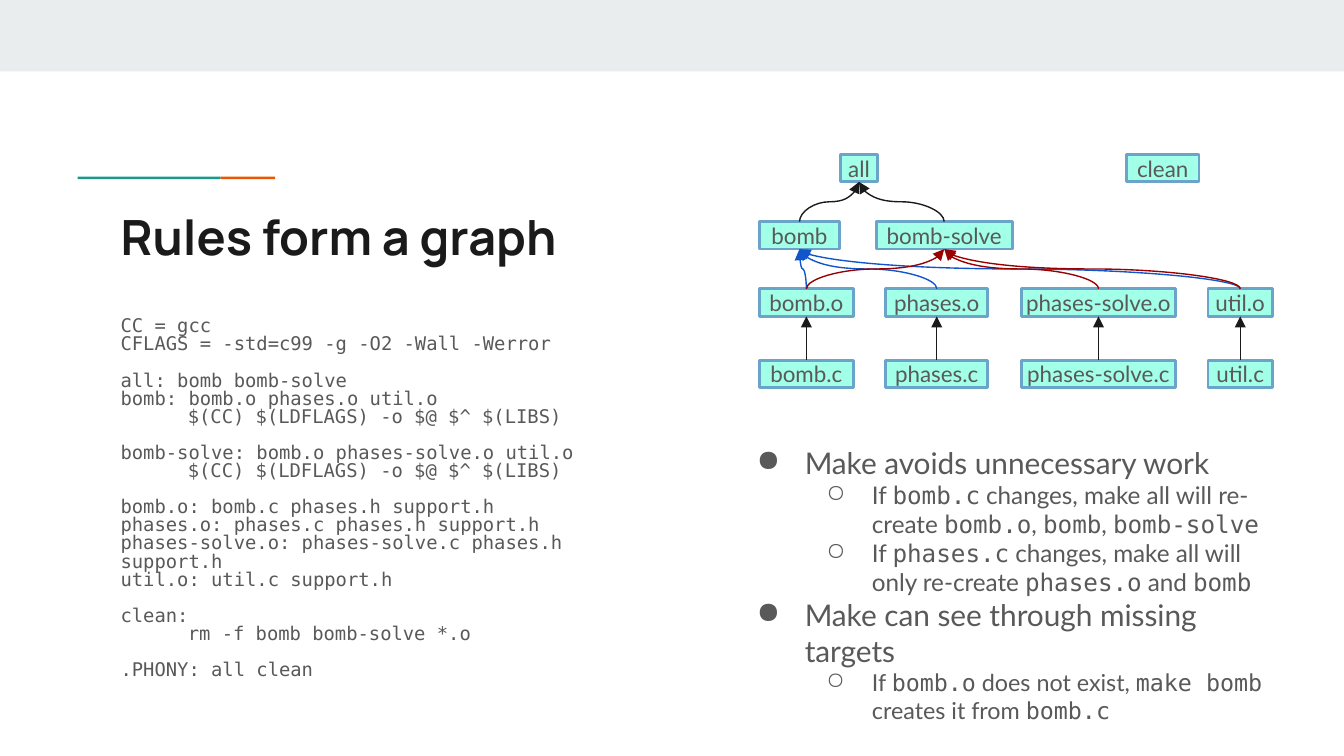
"""Build the slide that shows makefile rules as a dependency graph."""
from dataclasses import dataclass

from pptx import Presentation
from pptx import util as u
from pptx.dml.color import RGBColor
from pptx.enum import shapes, text
from pptx.oxml import ns, xmlchemy


@dataclass(frozen=True)
class Theme:
    band: str = "E9EDEE"
    teal: str = "1A9988"
    orange: str = "EB5600"
    ink: str = "1A1A1A"
    gray: str = "595959"
    node_fill: str = "A2FFE8"
    node_line: str = "6AA4C8"
    blue: str = "1155CC"
    red: str = "990000"
    heading: str = "Manrope"
    body: str = "Lato"
    mono: str = "DejaVu Sans Mono"
    title_size: float = 26
    code_size: float = 10.1
    code_gap: float = 9.7
    node_size: float = 12
    point_size: float = 16
    detail_size: float = 13
    last_detail_size: float = 12.5


theme = Theme()


def write(paragraph, content, font=theme.body, size=theme.node_size, color=theme.gray, bold=False):
    run = paragraph.add_run()
    run.text = content
    run.font.name = font
    run.font.size = u.Pt(size)
    run.font.bold = bold
    run.font.color.rgb = RGBColor.from_string(color)


def prepare_frame(shape, inset=0.25, anchor=text.MSO_ANCHOR.TOP):
    frame = shape.text_frame
    frame.word_wrap = True
    frame.auto_size = text.MSO_AUTO_SIZE.NONE
    frame.vertical_anchor = anchor
    frame.margin_left = frame.margin_right = u.Cm(inset)
    frame.margin_top = frame.margin_bottom = u.Cm(inset)
    return frame


presentation = Presentation()
presentation.slide_width = u.Cm(25.4)
presentation.slide_height = u.Cm(14.29)
slide = presentation.slides.add_slide(presentation.slide_layouts[5])

for left, top, width, height, color in [
    (0, 0, 25.4, 1.35, theme.band),
    (1.47, 3.34, 2.7, 0.05, theme.teal),
    (4.17, 3.34, 1.03, 0.05, theme.orange),
]:
    bar = slide.shapes.add_shape(
        shapes.MSO_SHAPE.RECTANGLE, u.Cm(left), u.Cm(top), u.Cm(width), u.Cm(height))
    bar.shadow.inherit = False
    bar.fill.solid()
    bar.fill.fore_color.rgb = RGBColor.from_string(color)
    bar.line.fill.background()

title = slide.shapes.title
title.left, title.top, title.width, title.height = u.Cm(2.03), u.Cm(3.66), u.Cm(21.36), u.Cm(1.5)
paragraph = prepare_frame(title).paragraphs[0]
paragraph.alignment = text.PP_ALIGN.LEFT
write(paragraph, "Rules form a graph",
      font=theme.heading, size=theme.title_size, color=theme.ink, bold=True)

rule_blocks = [
    ["CC = gcc", "CFLAGS = -std=c99 -g -O2 -Wall -Werror"],
    ["all: bomb bomb-solve", "bomb: bomb.o phases.o util.o", "\t$(CC) $(LDFLAGS) -o $@ $^ $(LIBS)"],
    ["bomb-solve: bomb.o phases-solve.o util.o", "\t$(CC) $(LDFLAGS) -o $@ $^ $(LIBS)"],
    ["bomb.o: bomb.c phases.h support.h", "phases.o: phases.c phases.h support.h",
     "phases-solve.o: phases-solve.c phases.h support.h", "util.o: util.c support.h"],
    ["clean:", "\trm -f bomb bomb-solve *.o"],
    [".PHONY: all clean"],
]
makefile = slide.shapes.add_textbox(u.Cm(2.03), u.Cm(5.77), u.Cm(10.49), u.Cm(7.37))
frame = prepare_frame(makefile)
paragraph = frame.paragraphs[0]
for block_index, block in enumerate(rule_blocks):
    for line_index, line in enumerate(block):
        if block_index or line_index:
            paragraph = frame.add_paragraph()
        paragraph.line_spacing = 0.8
        if block_index and line_index == 0:
            paragraph.space_before = u.Pt(theme.code_gap)
        write(paragraph, line, font=theme.mono, size=theme.code_size)

graph_rows = [
    (2.92, [("all", 15.88, 0.71), ("clean", 21.29, 1.37)]),
    (4.19, [("bomb", 14.35, 1.52), ("bomb-solve", 16.56, 2.57)]),
]
file_columns = [("bomb", 14.35, 1.78), ("phases", 16.74, 1.93),
                ("phases-solve", 19.3, 2.92), ("util", 22.83, 1.22)]
for top, suffix in [(5.46, ".o"), (6.81, ".c")]:
    graph_rows.append((top, [(name + suffix, left, width) for name, left, width in file_columns]))

nodes = {}
for top, row in graph_rows:
    for name, left, width in row:
        node = slide.shapes.add_shape(
            shapes.MSO_SHAPE.RECTANGLE, u.Cm(left), u.Cm(top), u.Cm(width), u.Cm(0.52))
        node.shadow.inherit = False
        node.fill.solid()
        node.fill.fore_color.rgb = RGBColor.from_string(theme.node_fill)
        node.line.color.rgb = RGBColor.from_string(theme.node_line)
        node.line.width = u.Pt(1.5)
        paragraph = prepare_frame(node, inset=0, anchor=text.MSO_ANCHOR.MIDDLE).paragraphs[0]
        paragraph.alignment = text.PP_ALIGN.CENTER
        write(paragraph, name)
        nodes[name] = node

dependencies = [
    ("all", ["bomb", "bomb-solve"], theme.ink),
    ("bomb", ["bomb.o", "phases.o", "util.o"], theme.blue),
    ("bomb-solve", ["bomb.o", "phases-solve.o", "util.o"], theme.red),
]
dependencies += [(name + ".o", [name + ".c"], theme.ink) for name, left, width in file_columns]
for target_name, sources, color in dependencies:
    for source_name in sources:
        target, source = nodes[target_name], nodes[source_name]
        start_x = target.left + target.width // 2
        start_y = target.top + target.height
        run_x = source.left + source.width // 2 - start_x
        run_y = source.top - start_y
        kind = shapes.MSO_CONNECTOR.CURVE if run_x else shapes.MSO_CONNECTOR.STRAIGHT
        arrow = slide.shapes.add_connector(kind, start_x, start_y, start_x + run_x, source.top)
        arrow.begin_connect(target, 2)
        arrow.end_connect(source, 0)
        properties = arrow._element.spPr
        if run_x:
            arrow.left = start_x + (run_x - run_y) // 2
            arrow.top = start_y + (run_y - abs(run_x)) // 2
            arrow.width, arrow.height = run_y, abs(run_x)
            transform = properties.find(ns.qn("a:xfrm"))
            transform.set("rot", str((90 if run_x < 0 else 270) * 60000))
            transform.set("flipH", "0" if run_x < 0 else "1")
        arrow.line.color.rgb = RGBColor.from_string(color)
        arrow.line.width = u.Pt(0.75)
        head = xmlchemy.OxmlElement("a:headEnd")
        head.set("type", "triangle")
        properties.find(ns.qn("a:ln")).append(head)
        properties.append(xmlchemy.OxmlElement("a:effectLst"))

points = [
    (0, theme.point_size, "Make avoids unnecessary work"),
    (1, theme.detail_size,
     "If `bomb.c` changes, make all will re-create `bomb.o`, `bomb`, `bomb-solve`"),
    (1, theme.detail_size,
     "If `phases.c` changes, make all will only re-create `phases.o` and `bomb`"),
    (0, theme.point_size, "Make can see through missing targets"),
    (1, theme.last_detail_size,
     "If `bomb.o` does not exist, `make bomb` creates it from `bomb.c`"),
]
notes = slide.shapes.add_textbox(u.Cm(13.69), u.Cm(8.15), u.Cm(10.49), u.Cm(6.35))
frame = prepare_frame(notes)
for index, (level, size, content) in enumerate(points):
    paragraph = frame.add_paragraph() if index else frame.paragraphs[0]
    paragraph.level = level
    indents = paragraph._p.get_or_add_pPr()
    indents.set("marL", str(u.Cm(1.27 * (level + 1))))
    indents.set("indent", str(-u.Cm((0.91, 0.86)[level])))
    bullet_color = xmlchemy.OxmlElement("a:buClr")
    shade = xmlchemy.OxmlElement("a:srgbClr")
    shade.set("val", theme.gray)
    bullet_color.append(shade)
    bullet = xmlchemy.OxmlElement("a:buChar")
    bullet.set("char", "●○"[level])
    indents.extend([bullet_color, bullet])
    for part_index, part in enumerate(content.split("`")):
        if part:
            write(paragraph, part, font=theme.mono if part_index % 2 else theme.body, size=size)

presentation.save("out.pptx")
